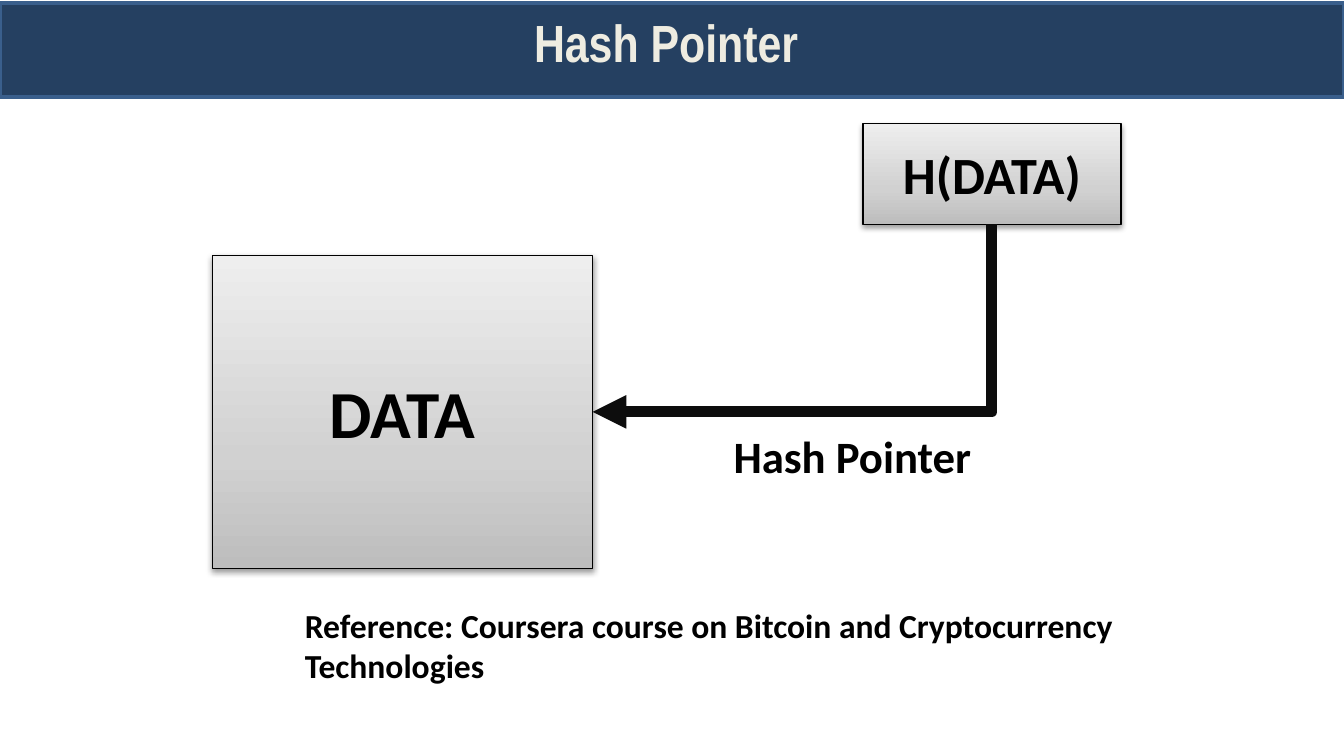
from dataclasses import dataclass

from pptx import Presentation
from pptx.dml.color import RGBColor
from pptx.enum.shapes import MSO_CONNECTOR, MSO_SHAPE
from pptx.enum.text import MSO_ANCHOR, PP_ALIGN
from pptx.oxml import parse_xml
from pptx.oxml.ns import nsdecls
from pptx.util import Inches, Pt

WIDTH = 10
HEIGHT = WIDTH * 9 / 16


@dataclass(frozen=True)
class Theme:
    bar: str = "254061"
    bar_edge: str = "3A5F8C"
    title: str = "EEECE1"
    ink: str = "000000"
    arrow: str = "0D0D0D"
    box_stops: tuple = ((0, "BDBDBD"), (35, "D1D1D1"), (100, "EEEEEE"))
    title_font: str = "Arial Narrow"
    body_font: str = "Calibri"
    heading_size: int = 28
    data_size: int = 36
    label_size: int = 24
    reference_size: int = 18


THEME = Theme()


def inches(*lengths):
    return [Inches(length) for length in lengths]


def write(frame, words, size, font=THEME.body_font, color=THEME.ink,
          align=PP_ALIGN.LEFT, **frame_format):
    """Put one bold paragraph in a text frame."""
    for name, value in frame_format.items():
        setattr(frame, name, value)
    paragraph = frame.paragraphs[0]
    paragraph.alignment = align
    run = paragraph.add_run()
    run.text = words
    for name, value in {"name": font, "size": Pt(size), "bold": True}.items():
        setattr(run.font, name, value)
    run.font.color.rgb = RGBColor.from_string(color)


def outline(shape, color, width):
    shape.line.color.rgb = RGBColor.from_string(color)
    shape.line.width = Pt(width)


def add_title(slide, words):
    """Title on a full-width bar."""
    bar = slide.shapes.add_shape(MSO_SHAPE.RECTANGLE, *inches(0, 0.02, WIDTH, 0.7))
    bar.shadow.inherit = False
    bar.fill.solid()
    bar.fill.fore_color.rgb = RGBColor.from_string(THEME.bar)
    outline(bar, THEME.bar_edge, 2)

    title = slide.shapes.title
    title.left, title.top, title.width, title.height = inches(0, 0.03, WIDTH, 0.68)
    write(title.text_frame, words, THEME.heading_size, THEME.title_font,
          THEME.title, PP_ALIGN.CENTER, vertical_anchor=MSO_ANCHOR.MIDDLE,
          margin_bottom=Inches(0.17))
    bar._element.addnext(title._element)  # title in front of the bar


def add_block(slide, place, words, size):
    """Grey gradient box with a soft shadow."""
    block = slide.shapes.add_shape(MSO_SHAPE.RECTANGLE, *inches(*place))
    properties = block._element.spPr
    stops = "".join(
        f'<a:gs pos="{share * 1000}"><a:srgbClr val="{color}"/></a:gs>'
        for share, color in THEME.box_stops)
    properties.append(parse_xml(
        f'<a:gradFill {nsdecls("a")} rotWithShape="1"><a:gsLst>{stops}</a:gsLst>'
        '<a:lin ang="16200000" scaled="0"/></a:gradFill>'))
    outline(block, THEME.ink, 0.75)
    properties.append(parse_xml(
        f'<a:effectLst {nsdecls("a")}><a:outerShdw blurRad="{Pt(3.1)}" '
        f'dist="{Pt(1.6)}" dir="5400000" rotWithShape="0">'
        f'<a:srgbClr val="{THEME.ink}"><a:alpha val="38000"/></a:srgbClr>'
        '</a:outerShdw></a:effectLst>'))
    write(block.text_frame, words, size, align=PP_ALIGN.CENTER,
          vertical_anchor=MSO_ANCHOR.MIDDLE)
    return block


def add_pointer(slide, start, target):
    """Arrow down from the start box, then left into the target box."""
    x1, y1 = start.left + start.width // 2, start.top + start.height
    x2, y2 = target.left + target.width, target.top + target.height // 2
    pointer = slide.shapes.add_connector(MSO_CONNECTOR.ELBOW, x1, y1, x2, y2)
    pointer.begin_connect(start, 2)
    pointer.end_connect(target, 3)
    outline(pointer, THEME.arrow, 6)
    pointer.line._get_or_add_ln().append(
        parse_xml(f'<a:tailEnd {nsdecls("a")} type="triangle"/>'))

    # A quarter turn makes the single bend go down first
    properties = pointer._element.spPr
    properties.prstGeom.set("prst", "bentConnector2")
    properties.xfrm.attrib.pop("flipH", None)
    properties.xfrm.set("rot", "5400000")
    run, drop = x1 - x2, y2 - y1
    pointer.left, pointer.top = (x1 + x2 - drop) // 2, (y1 + y2 - run) // 2
    pointer.width, pointer.height = drop, run
    properties.append(parse_xml(f'<a:effectLst {nsdecls("a")}/>'))


def add_label(slide, place, words, size):
    label = slide.shapes.add_textbox(*inches(*place))
    write(label.text_frame, words, size, word_wrap=True)


def main():
    deck = Presentation()
    deck.slide_width, deck.slide_height = inches(WIDTH, HEIGHT)
    slide = deck.slides.add_slide(deck.slide_layouts[5])

    add_title(slide, "Hash Pointer ")

    # The data and the hash that points to it
    data = add_block(slide, (1.58, 1.9, 2.83, 2.33), "DATA", THEME.data_size)
    hashed = add_block(slide, (6.42, 0.92, 1.92, 0.75), "H(DATA)", THEME.heading_size)
    add_pointer(slide, hashed, data)

    # Label and reference
    add_label(slide, (5.36, 3.14, 2, 0.5), "Hash Pointer", THEME.label_size)
    add_label(slide, (2.17, 4.45, 7.5, 0.4),
              "Reference: Coursera course on Bitcoin and Cryptocurrency Technologies",
              THEME.reference_size)

    deck.save("out.pptx")


if __name__ == "__main__":
    main()
